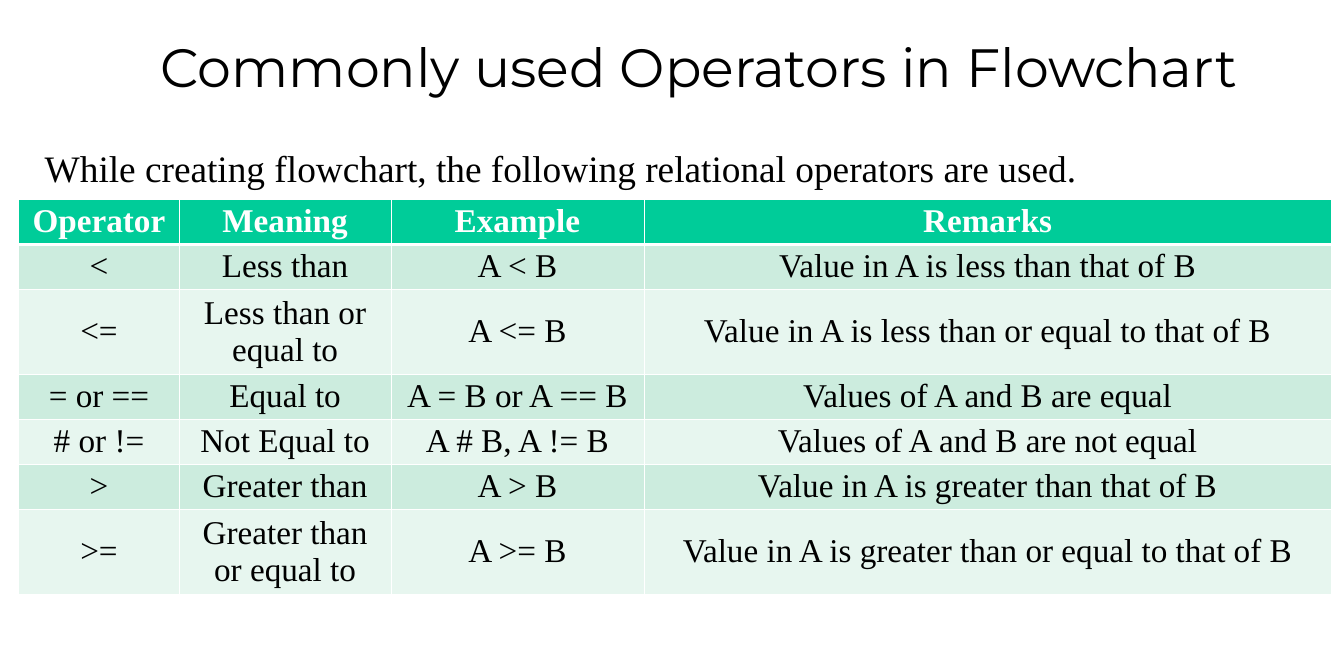
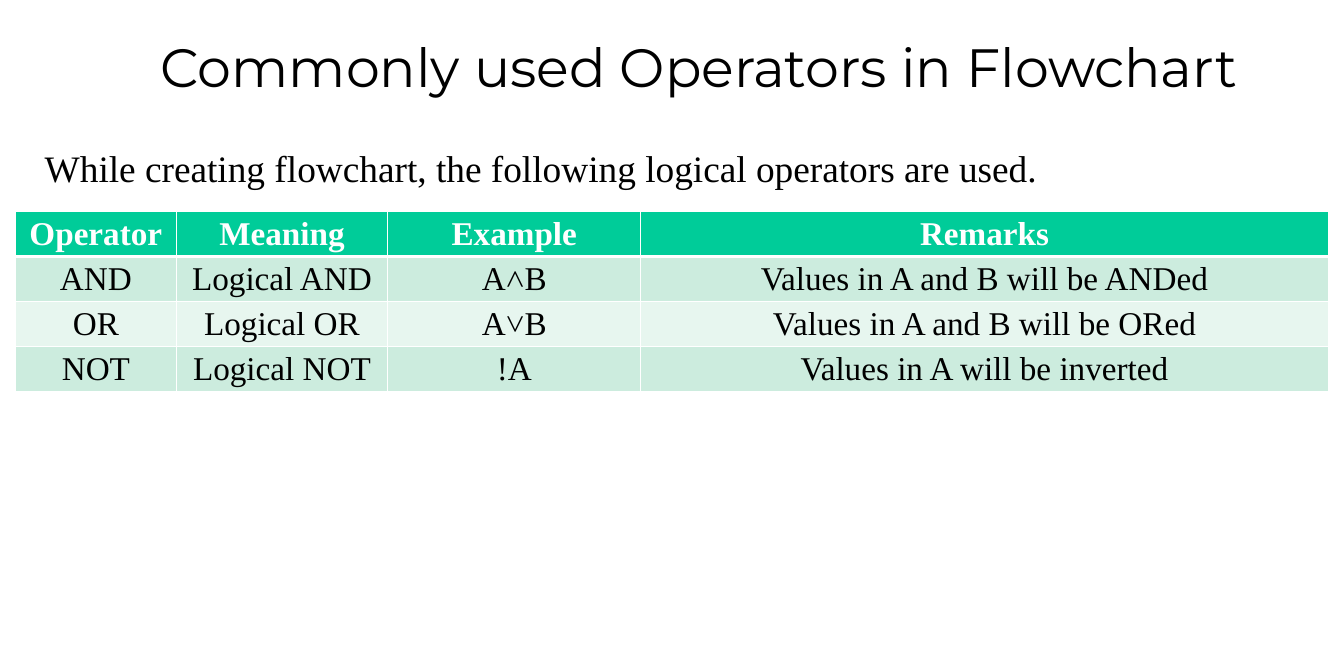
import pptx
import pptx.dml.color
import pptx.enum.text
import pptx.oxml
import pptx.oxml.ns
import pptx.util

Pt = pptx.util.Pt

COLORS = {
    "text": "000000",
    "header_text": "FFFFFF",
    "border": "FFFFFF",
    "header": "00CC99",
    "band_dark": "CCECDE",
    "band_light": "E7F6EF",
}
TITLE_FONT = "Montserrat"
BODY_FONT = "Times New Roman"

TITLE = "Commonly used Operators in Flowchart"
HEADERS = ("Operator", "Meaning", "Example", "Remarks")
COLUMN_WIDTHS = (155, 204, 244, 663)
LINE_HEIGHT = 36.4
CELL_MARGIN = 2.5
ROW_HEIGHT = 42.6

RELATIONAL_ROWS = (
    ("<", "Less than", "A < B", "Value in A is less than that of B"),
    ("<=", "Less than or equal to", "A <= B", "Value in A is less than or equal to that of B"),
    ("= or ==", "Equal to", "A = B or A == B", "Values of A and B are equal"),
    ("# or !=", "Not Equal to", "A # B, A != B", "Values of A and B are not equal"),
    (">", "Greater than", "A > B", "Value in A is greater than that of B"),
    (">=", "Greater than or equal to", "A >= B", "Value in A is greater than or equal to that of B"),
)
LOGICAL_ROWS = (
    ("AND", "Logical AND", "A˄B", "Values in A and B will be ANDed"),
    ("OR", "Logical OR", "A˅B", "Values in A and B will be ORed"),
    ("NOT", "Logical NOT", "!A", "Values in A will be inverted"),
)


def color(name):
    return pptx.dml.color.RGBColor.from_string(COLORS[name])


def write_text(text_frame, text, font, size, color_name="text", bold=False, centered=True):
    paragraph = text_frame.paragraphs[0]
    alignment = pptx.enum.text.PP_ALIGN
    paragraph.alignment = alignment.CENTER if centered else alignment.LEFT
    run = paragraph.add_run()
    run.text = text
    run.font.name = font
    run.font.size = Pt(size)
    run.font.bold = bold
    run.font.color.rgb = color(color_name)


def place_layout_title(layout):
    """Set the title position that every slide inherits."""
    title = layout.placeholders[0]
    title.left, title.top, title.width, title.height = Pt(90), Pt(31), Pt(1168), Pt(65)
    title.text_frame.vertical_anchor = pptx.enum.text.MSO_ANCHOR.MIDDLE


def add_introduction(slide, text):
    box = slide.shapes.add_textbox(Pt(36), Pt(132), Pt(1188), Pt(60))
    frame = box.text_frame
    frame.word_wrap = True
    frame.vertical_anchor = pptx.enum.text.MSO_ANCHOR.MIDDLE
    write_text(frame, text, BODY_FONT, 36, centered=False)


def add_borders(cell, top_width, bottom_width):
    properties = cell._tc.get_or_add_tcPr()
    for side, width in (("L", 1), ("R", 1), ("T", top_width), ("B", bottom_width)):
        properties.append(pptx.oxml.parse_xml(
            f'<a:ln{side} {pptx.oxml.ns.nsdecls("a")} w="{Pt(width)}">'
            f'<a:solidFill><a:srgbClr val="{COLORS["border"]}"/></a:solidFill></a:ln{side}>'
        ))


def format_cell(cell, text, row_index):
    is_header = row_index == 0
    add_borders(cell, 3 if row_index == 1 else 1, 3 if is_header else 1)
    fill_name = "header" if is_header else ("band_light", "band_dark")[row_index % 2]
    cell.fill.solid()
    cell.fill.fore_color.rgb = color(fill_name)
    cell.margin_top = cell.margin_bottom = Pt(CELL_MARGIN)
    cell.vertical_anchor = pptx.enum.text.MSO_ANCHOR.MIDDLE
    write_text(cell.text_frame, text, BODY_FONT, 32,
               "header_text" if is_header else "text", bold=is_header)


def add_operator_table(slide, left, top, rows):
    rows = (HEADERS, *rows)
    # Meanings that contain "or equal to" take two lines.
    heights = [ROW_HEIGHT + LINE_HEIGHT * ("or equal to" in row[1]) for row in rows]
    frame = slide.shapes.add_table(len(rows), len(HEADERS), Pt(left), Pt(top),
                                   Pt(sum(COLUMN_WIDTHS)), Pt(sum(heights)))
    table = frame.table
    for column, width in zip(table.columns, COLUMN_WIDTHS):
        column.width = Pt(width)
    for row_index, texts in enumerate(rows):
        table.rows[row_index].height = Pt(heights[row_index])
        for column_index, text in enumerate(texts):
            format_cell(table.cell(row_index, column_index), text, row_index)


def add_operator_slide(presentation, layout, kind, left, top, rows):
    slide = presentation.slides.add_slide(layout)
    write_text(slide.shapes.title.text_frame, TITLE, TITLE_FONT, 52)
    add_introduction(slide, f"While creating flowchart, the following {kind} operators are used.")
    add_operator_table(slide, left, top, rows)


def main():
    presentation = pptx.Presentation()
    presentation.slide_width, presentation.slide_height = Pt(1296), Pt(648)
    layout = presentation.slide_layouts.get_by_name("Title Only")
    place_layout_title(layout)
    add_operator_slide(presentation, layout, "relational", 18, 192, RELATIONAL_ROWS)
    add_operator_slide(presentation, layout, "logical", 15, 204, LOGICAL_ROWS)
    presentation.save("out.pptx")


if __name__ == "__main__":
    main()
